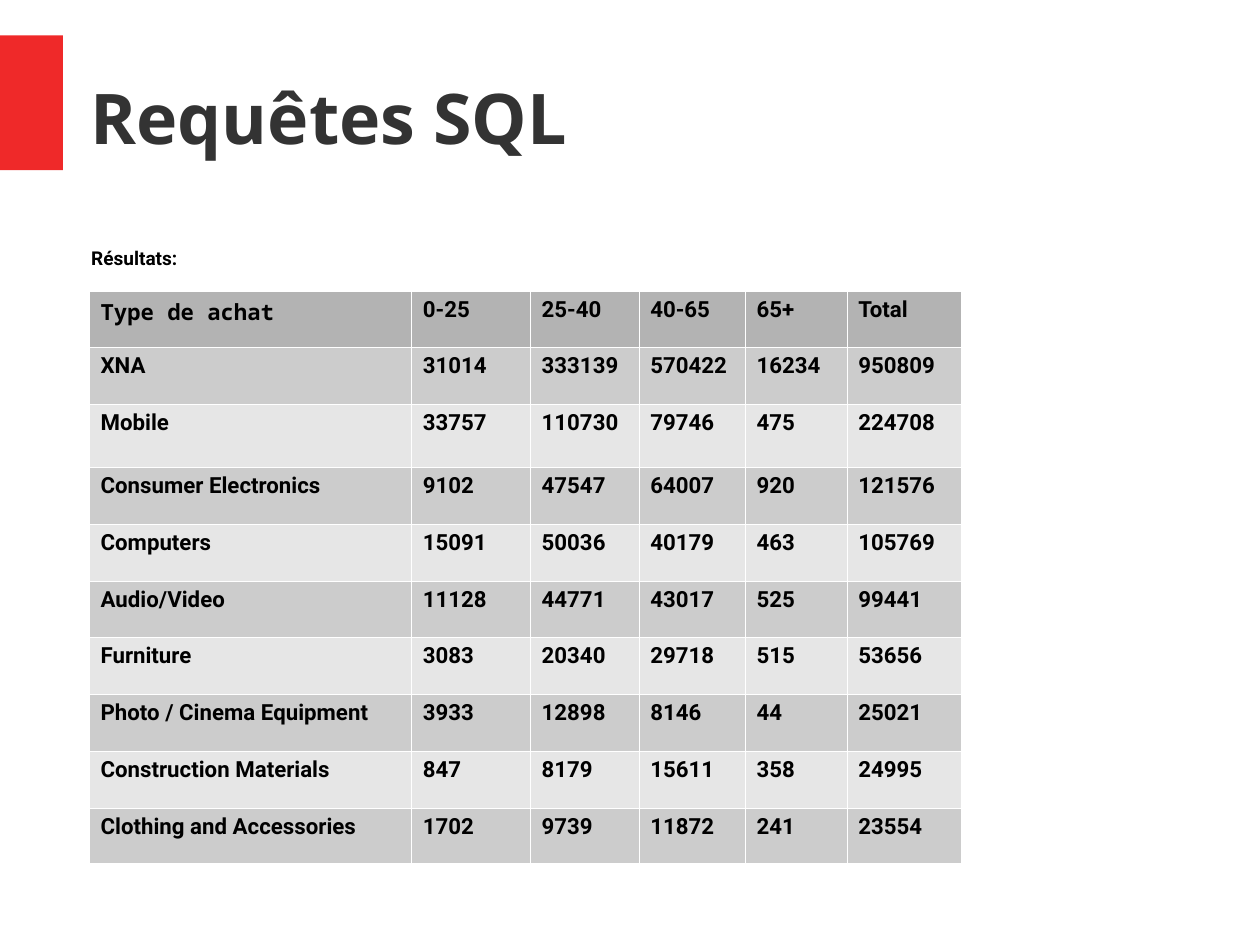
"""Build the slide of SQL query results: purchase types by age group."""
from dataclasses import dataclass

from lxml import etree
from pptx import Presentation
from pptx import util as u
from pptx.dml import color
from pptx.enum import shapes, text
from pptx.oxml import ns


@dataclass(frozen=True)
class Theme:
    accent: str = "EF2929"
    heading: str = "333333"
    ink: str = "000000"
    border: str = "FFFFFF"
    header: str = "B3B3B3"
    bands: tuple = ("CCCCCC", "E6E6E6")
    title_font: str = "Noto Sans"
    mono_font: str = "Noto Sans Mono"
    body_font: str = "Roboto"
    title_size: int = 44
    label_size: int = 12
    table_size: int = 14
    border_width: float = 0.06


theme = Theme()


def add_text(frame, words, font, size, ink):
    para = frame.paragraphs[0]
    para.alignment = text.PP_ALIGN.LEFT
    span = para.add_run()
    span.text = words
    span.font.name = font
    span.font.size = u.Pt(size)
    span.font.bold = True
    span.font.color.rgb = color.RGBColor.from_string(ink)


def style_cell(cell, fill):
    cell.fill.solid()
    cell.fill.fore_color.rgb = color.RGBColor.from_string(fill)
    properties = cell._tc.get_or_add_tcPr()
    for position, side in enumerate(("lnL", "lnR", "lnT", "lnB")):
        line = etree.Element(ns.qn(f"a:{side}"), w=str(u.Pt(theme.border_width)))
        solid = etree.SubElement(line, ns.qn("a:solidFill"))
        etree.SubElement(solid, ns.qn("a:srgbClr"), val=theme.border)
        properties.insert(position, line)


deck = Presentation()
deck.slide_width = u.Cm(28)
deck.slide_height = u.Cm(21)
page = deck.slides.add_slide(deck.slide_layouts[5])

accent = page.shapes.add_shape(
    shapes.MSO_SHAPE.RECTANGLE, 0, u.Inches(0.31), u.Inches(0.55), u.Inches(1.18))
accent.shadow.inherit = False
accent.fill.solid()
accent.fill.fore_color.rgb = color.RGBColor.from_string(theme.accent)
accent.line.fill.background()

title = page.shapes.title
title.left, title.top = u.Inches(0.79), u.Inches(0.33)
title.width, title.height = u.Inches(9.68), u.Inches(1.38)
frame = title.text_frame
frame.margin_left = frame.margin_right = frame.margin_top = frame.margin_bottom = 0
frame.vertical_anchor = text.MSO_ANCHOR.MIDDLE
frame.auto_size = text.MSO_AUTO_SIZE.NONE
add_text(frame, "Requêtes SQL", theme.title_font, theme.title_size, theme.heading)

label = page.shapes.add_textbox(u.Inches(0.7), u.Inches(2.11), u.Inches(1), u.Inches(0.29))
label.text_frame.word_wrap = True
add_text(label.text_frame, "Résultats:", theme.body_font, theme.label_size, theme.ink)

results = [
    ("Type de achat", "0-25", "25-40", "40-65", "65+", "Total"),
    ("XNA", 31014, 333139, 570422, 16234, 950809),
    ("Mobile", 33757, 110730, 79746, 475, 224708),
    ("Consumer Electronics", 9102, 47547, 64007, 920, 121576),
    ("Computers", 15091, 50036, 40179, 463, 105769),
    ("Audio/Video", 11128, 44771, 43017, 525, 99441),
    ("Furniture", 3083, 20340, 29718, 515, 53656),
    ("Photo / Cinema Equipment", 3933, 12898, 8146, 44, 25021),
    ("Construction Materials", 847, 8179, 15611, 358, 24995),
    ("Clothing and Accessories", 1702, 9739, 11872, 241, 23554),
]
table_height = 5
header_height, mobile_height, last_height = 0.49, 0.55, 0.48
plain_height = (table_height - header_height - mobile_height - last_height) / 7
row_heights = (header_height, plain_height, mobile_height, *[plain_height] * 6, last_height)
column_widths = (2.82, 1.04, 0.95, 0.93, 0.89, 1)

table = page.shapes.add_table(
    len(results), len(column_widths),
    u.Inches(0.78), u.Inches(2.55), u.Inches(7.64), u.Inches(table_height)).table
for column, width in zip(table.columns, column_widths):
    column.width = u.Inches(width)
for row, height in zip(table.rows, row_heights):
    row.height = u.Inches(height)

for row_index, record in enumerate(results):
    fill = theme.bands[(row_index - 1) % 2] if row_index else theme.header
    for column_index, value in enumerate(record):
        cell = table.cell(row_index, column_index)
        style_cell(cell, fill)
        font = theme.mono_font if row_index == column_index == 0 else theme.body_font
        add_text(cell.text_frame, str(value), font, theme.table_size, theme.ink)

deck.save("out.pptx")
